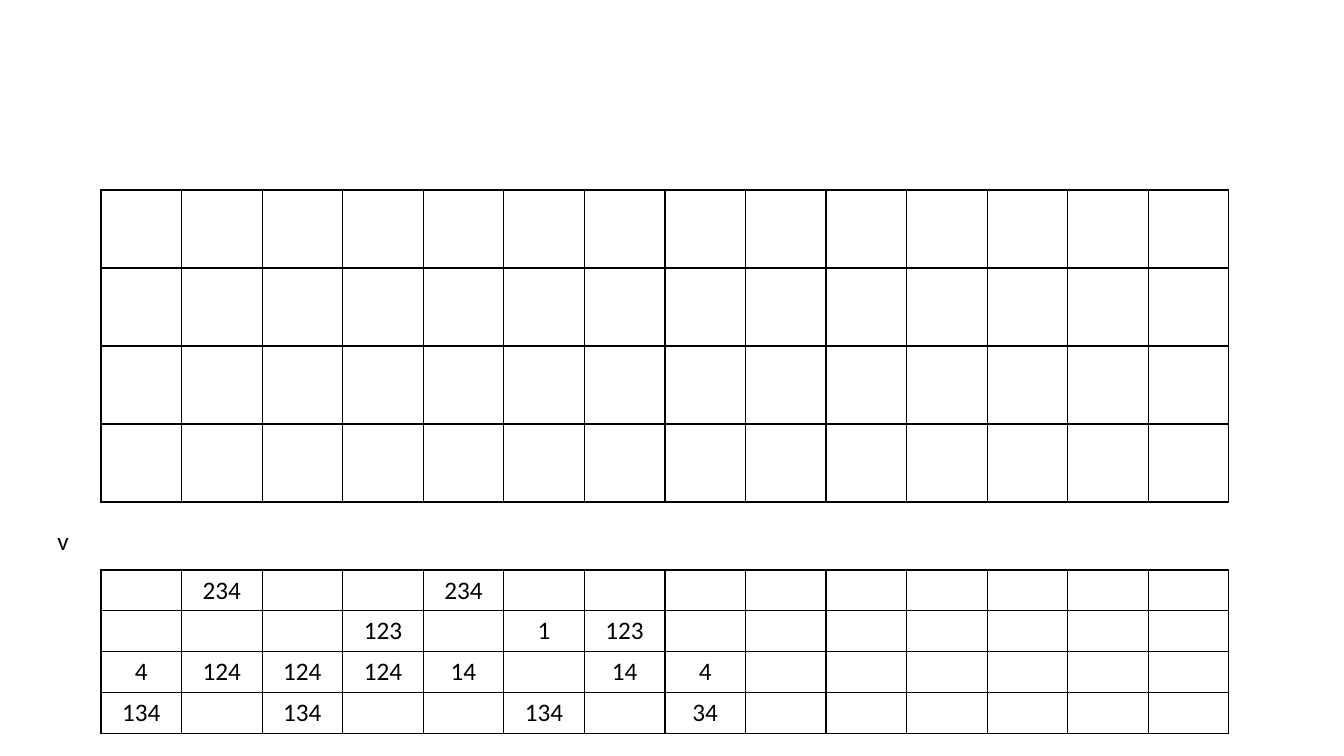
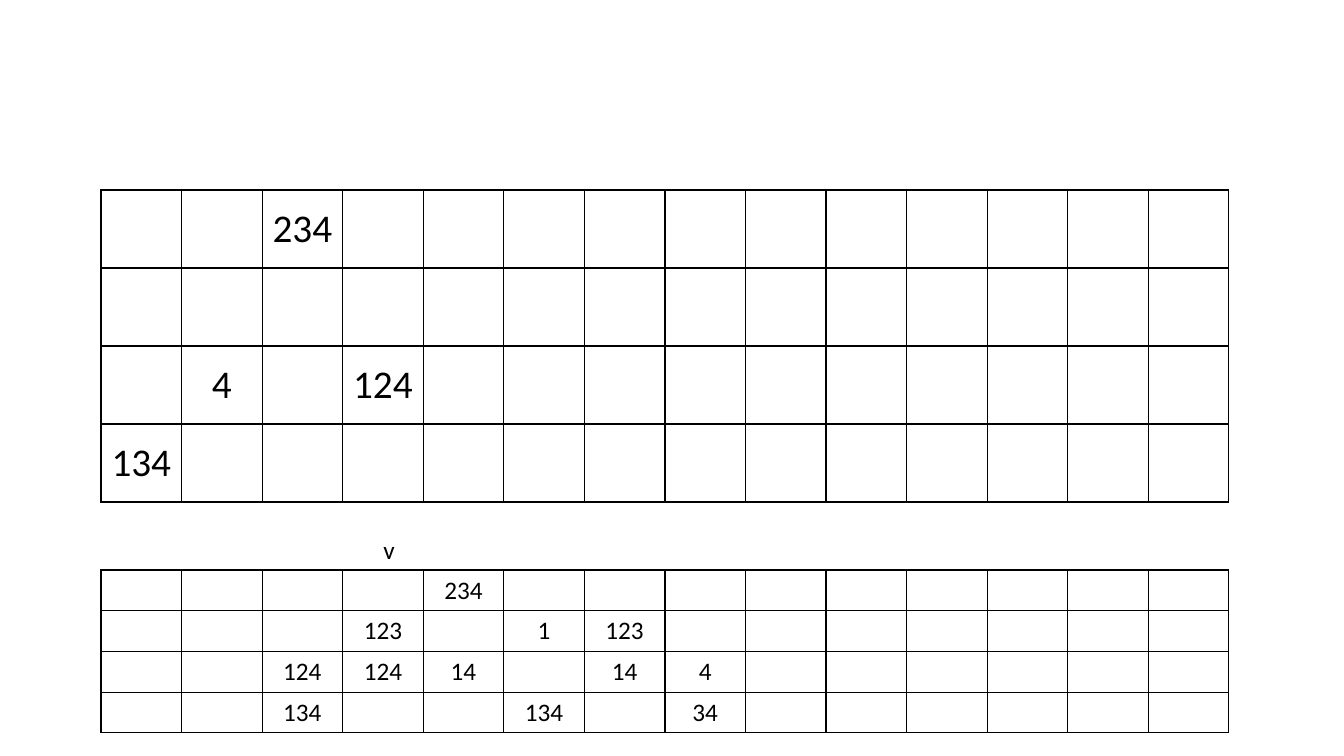
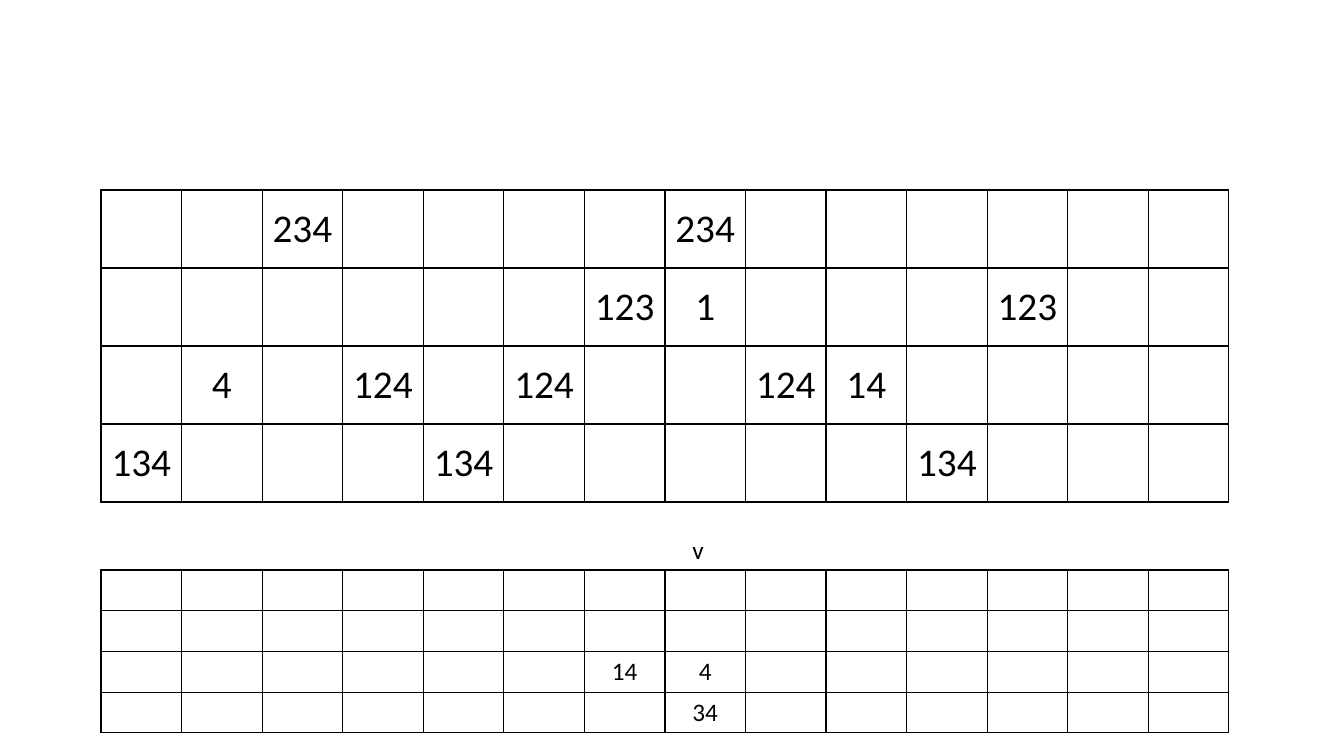
from pptx import Presentation
from pptx.dml.color import RGBColor
from pptx.enum.text import MSO_ANCHOR, MSO_AUTO_SIZE, PP_ALIGN
from pptx.oxml import parse_xml
from pptx.oxml.ns import nsdecls
from pptx.util import Emu, Pt

FONT = "Calibri"
INK = "000000"
COLUMNS = 14
GRID_LEFT, GRID_WIDTH = 101, 1128
UPPER = {"top": 190, "height": 312, "size": 28}
LOWER = {"top": 570, "height": 163, "size": 18}
MARKER_SIZE = 18

STEPS = [
    {
        "upper": ["", "", "", ""],
        "lower": [
            "- 234 - - 234",
            "- - - 123 - 1 123",
            "4 124 124 124 14 - 14 4",
            "134 - 134 - - 134 - 34",
        ],
        "marker": (47, 520),
    },
    {
        "upper": ["- - 234", "", "- 4 - 124", "134"],
        "lower": [
            "- - - - 234",
            "- - - 123 - 1 123",
            "- - 124 124 14 - 14 4",
            "- - 134 - - 134 - 34",
        ],
        "marker": (373, 529),
    },
    {
        "upper": [
            "- - 234 - - - - 234",
            "- - - - - - 123 1 - - - 123",
            "- 4 - 124 - 124 - - 124 14",
            "134 - - - 134 - - - - - 134",
        ],
        "lower": ["", "", "- - - - - - 14 4", "- - - - - - - 34"],
        "marker": (682, 529),
    },
]


def px(n):
    return Emu(round(n * 914400 / 100.8))


def rgb(value):
    return RGBColor.from_string(value)


def add_text(tf, text, size):
    p = tf.paragraphs[0]
    p.alignment = PP_ALIGN.CENTER
    r = p.add_run()
    r.text = text
    r.font.name = FONT
    r.font.size = Pt(size)
    r.font.color.rgb = rgb(INK)


def set_borders(cell):
    tc_pr = cell._tc.get_or_add_tcPr()
    for i, side in enumerate("LRTB"):
        tc_pr.insert(i, parse_xml(
            f'<a:ln{side} {nsdecls("a")} w="{Pt(1)}"><a:solidFill>'
            f'<a:srgbClr val="{INK}"/></a:solidFill></a:ln{side}>'))


def add_grid(slide, rows, top, height, size):
    table = slide.shapes.add_table(
        len(rows), COLUMNS, px(GRID_LEFT), px(top), px(GRID_WIDTH), px(height)).table
    table.first_row = False
    table.horz_banding = False
    for cell in table.iter_cells():
        cell.fill.background()
        cell.vertical_anchor = MSO_ANCHOR.MIDDLE
        set_borders(cell)
    for i, row in enumerate(rows):
        for j, label in enumerate(row.split()):
            if label != "-":
                add_text(table.cell(i, j).text_frame, label, size)


def add_marker(slide, left, top):
    tf = slide.shapes.add_textbox(px(left), px(top), px(32), px(40)).text_frame
    tf.word_wrap = False
    tf.auto_size = MSO_AUTO_SIZE.SHAPE_TO_FIT_TEXT
    add_text(tf, "v", MARKER_SIZE)


def main():
    prs = Presentation()
    prs.slide_width, prs.slide_height = px(1344), px(756)
    for step in STEPS:
        slide = prs.slides.add_slide(prs.slide_layouts[6])
        add_grid(slide, step["upper"], **UPPER)
        add_grid(slide, step["lower"], **LOWER)
        add_marker(slide, *step["marker"])
    prs.save("out.pptx")


main()
